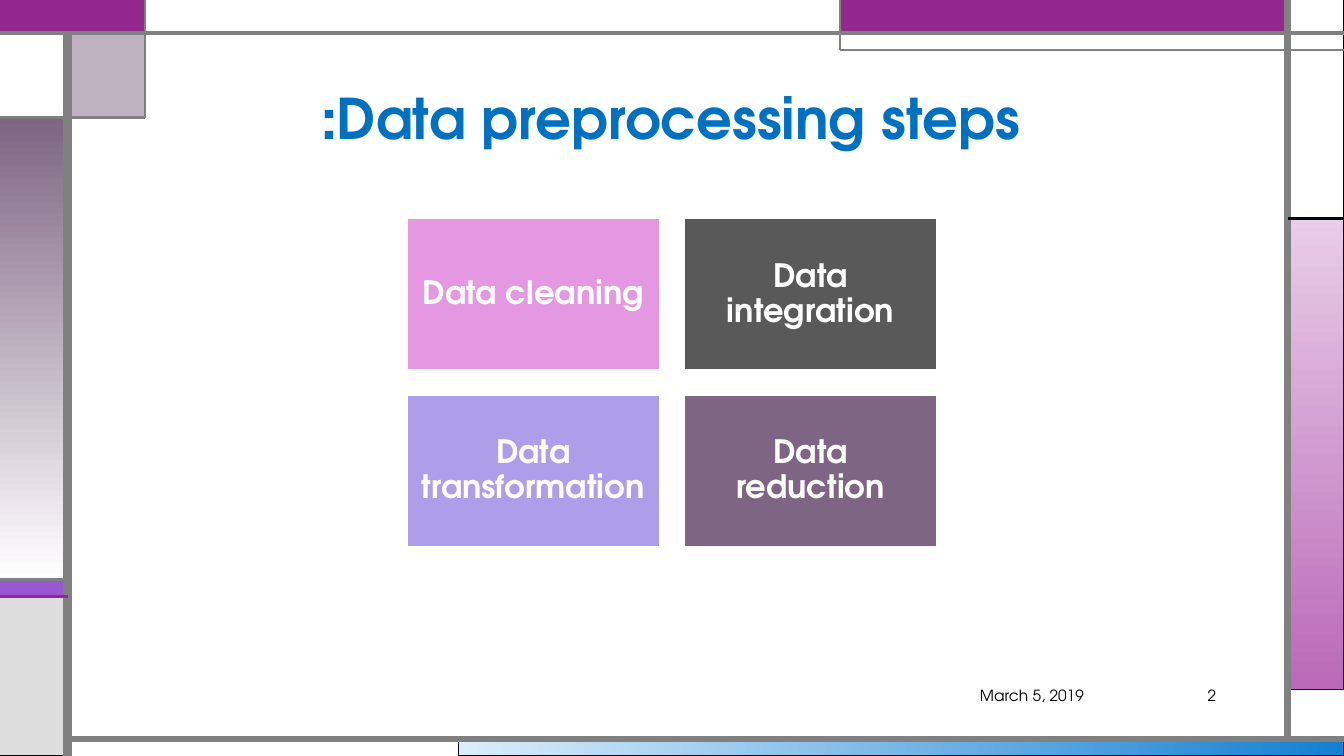
from dataclasses import dataclass
from typing import Optional

import lxml.etree
import pptx
import pptx.dml.color
import pptx.enum.shapes
import pptx.enum.text
import pptx.oxml.ns
import pptx.util

Inches = pptx.util.Inches
Align = pptx.enum.text.PP_ALIGN


@dataclass(frozen=True)
class Theme:
    font: str = "TeX Gyre Adventor"
    title_size: float = 40
    tile_size: float = 23
    footer_size: float = 11
    white: str = "FFFFFF"
    black: str = "000000"
    grey: str = "808080"
    silver: str = "DDDDDD"
    charcoal: str = "595959"
    magenta: str = "92278F"
    violet: str = "9B57D3"
    indigo: str = "755DD9"
    plum: str = "7E6583"
    pink: str = "E498E1"
    lavender: str = "AC9EE8"
    title_blue: str = "0070C0"
    pale_blue: str = "DAEDFB"
    deep_blue: str = "1480D1"
    pale_orchid: str = "E8CDE7"
    orchid: str = "BA69B8"


THEME = Theme()


@dataclass(frozen=True)
class Panel:
    left: float
    top: float
    width: float
    height: float
    fill: str
    fade_to: Optional[str] = None
    angle: float = 270
    opacity: Optional[int] = None
    line: str = THEME.black
    weight: float = 0.75


@dataclass(frozen=True)
class Rule:
    x1: float
    y1: float
    x2: float
    y2: float
    weight: float
    color: str = THEME.grey


@dataclass(frozen=True)
class Step:
    label: str
    fill: str


WIDTH, HEIGHT = 13.33, 7.5
LEFT_BAR, RIGHT_BAR, TOP_BAR, BOTTOM_BAR = 0.67, 12.77, 0.33, 7.33
CORNER_X, CORNER_Y = 1.44, 1.17
TAB_X, TAB_Y = 8.33, 0.5
RIGHT_SPLIT = 2.17
BAND_TOP, BAND_BOTTOM = 5.75, 5.92
EDGE = WIDTH - RIGHT_BAR

PANELS = [
    Panel(4.55, BOTTOM_BAR, 8.78, 0.17, THEME.pale_blue, fade_to=THEME.deep_blue, angle=0),
    Panel(RIGHT_BAR, RIGHT_SPLIT, EDGE, 4.67, THEME.pale_orchid, fade_to=THEME.orchid),
    Panel(0, BAND_TOP, LEFT_BAR, BAND_BOTTOM - BAND_TOP, THEME.violet),
    Panel(0, BAND_BOTTOM, LEFT_BAR, HEIGHT - BAND_BOTTOM, THEME.silver),
    Panel(RIGHT_BAR, 0, EDGE, RIGHT_SPLIT, THEME.white),
    Panel(TAB_X, 0, RIGHT_BAR - TAB_X, TOP_BAR, THEME.magenta, line=THEME.indigo),
    Panel(LEFT_BAR, TOP_BAR, CORNER_X - LEFT_BAR, CORNER_Y - TOP_BAR, THEME.plum, opacity=50),
    Panel(0, CORNER_Y, LEFT_BAR, BAND_TOP - CORNER_Y, THEME.plum, fade_to=THEME.white),
    Panel(0, TOP_BAR, LEFT_BAR, CORNER_Y - TOP_BAR, THEME.white),
    Panel(0, 0, CORNER_X, TOP_BAR, THEME.magenta, line=THEME.magenta, weight=1.5),
    Panel(CORNER_X, 0, TAB_X - CORNER_X, TOP_BAR, THEME.white, line=THEME.grey),
]

RULES = [
    Rule(LEFT_BAR, HEIGHT, LEFT_BAR, TOP_BAR, 6),
    Rule(LEFT_BAR, BOTTOM_BAR, WIDTH, BOTTOM_BAR, 4.5),
    Rule(RIGHT_BAR, BOTTOM_BAR, RIGHT_BAR, 0, 4.5),
    Rule(0, TOP_BAR, WIDTH, TOP_BAR, 3),
    Rule(WIDTH, TAB_Y, TAB_X, TAB_Y, 1.5),
    Rule(TAB_X, TAB_Y, TAB_X, 0, 1.5),
    Rule(RIGHT_BAR, RIGHT_SPLIT, WIDTH, RIGHT_SPLIT, 2.25, THEME.black),
    Rule(CORNER_X, 0, CORNER_X, CORNER_Y, 1.5),
    Rule(CORNER_X, CORNER_Y, 0, CORNER_Y, 2.25),
    Rule(LEFT_BAR, BAND_TOP, 0, BAND_TOP, 2.25),
    Rule(LEFT_BAR, BAND_BOTTOM, 0, BAND_BOTTOM, 2.25, THEME.magenta),
]

STEPS = [
    Step("Data cleaning", THEME.pink),
    Step("Data integration", THEME.charcoal),
    Step("Data transformation", THEME.lavender),
    Step("Data reduction", THEME.plum),
]


def rgb(color: str) -> pptx.dml.color.RGBColor:
    """Turn a hex string into a colour."""
    return pptx.dml.color.RGBColor.from_string(color)


def draw_panel(slide, panel: Panel):
    """Draw a rectangle with a solid, translucent or graded fill."""
    block = slide.shapes.add_shape(
        pptx.enum.shapes.MSO_SHAPE.RECTANGLE,
        Inches(panel.left), Inches(panel.top), Inches(panel.width), Inches(panel.height))
    block.shadow.inherit = False
    block.line.color.rgb = rgb(panel.line)
    block.line.width = pptx.util.Pt(panel.weight)
    if panel.fade_to:
        block.fill.gradient()
        block.fill.gradient_angle = panel.angle
        for stop, color in zip(block.fill.gradient_stops, (panel.fill, panel.fade_to)):
            stop.color.rgb = rgb(color)
    else:
        block.fill.solid()
        block.fill.fore_color.rgb = rgb(panel.fill)
    if panel.opacity is not None:
        solid = block._element.spPr.find(pptx.oxml.ns.qn("a:solidFill"))
        tint = solid.find(pptx.oxml.ns.qn("a:srgbClr"))
        alpha = lxml.etree.SubElement(tint, pptx.oxml.ns.qn("a:alpha"))
        alpha.set("val", str(panel.opacity * 1000))
    return block


def draw_rule(slide, rule: Rule) -> None:
    """Draw a straight line without a shadow."""
    stroke = slide.shapes.add_connector(
        pptx.enum.shapes.MSO_CONNECTOR.STRAIGHT,
        Inches(rule.x1), Inches(rule.y1), Inches(rule.x2), Inches(rule.y2))
    stroke.line.color.rgb = rgb(rule.color)
    stroke.line.width = pptx.util.Pt(rule.weight)
    lxml.etree.SubElement(stroke._element.spPr, pptx.oxml.ns.qn("a:effectLst"))


def write(holder, text: str, *, size: float, color: str, align=Align.CENTER,
          bold: bool = False, spacing: float = 1.0, rtl: bool = False,
          inset: Optional[float] = None) -> None:
    """Write one formatted paragraph, centred vertically in its holder."""
    frame = holder.text_frame
    frame.word_wrap = True
    frame.vertical_anchor = pptx.enum.text.MSO_ANCHOR.MIDDLE
    if inset is not None:
        frame.margin_left = frame.margin_right = Inches(inset)
        frame.margin_top = frame.margin_bottom = Inches(inset)
    paragraph = frame.paragraphs[0]
    paragraph.alignment = align
    paragraph.line_spacing = spacing
    if rtl:
        paragraph._p.get_or_add_pPr().set("rtl", "1")
    run = paragraph.add_run()
    run.text = text
    run.font.name = THEME.font
    run.font.size = pptx.util.Pt(size)
    run.font.bold = bold
    run.font.color.rgb = rgb(color)


def add_box(slide, left: float, top: float, width: float, height: float):
    """Add an empty text box."""
    return slide.shapes.add_textbox(Inches(left), Inches(top), Inches(width), Inches(height))


def main() -> None:
    """Build the slide and save it."""
    deck = pptx.Presentation()
    deck.slide_width, deck.slide_height = Inches(WIDTH), Inches(HEIGHT)
    slide = deck.slides.add_slide(deck.slide_layouts[6])
    for panel in PANELS:
        draw_panel(slide, panel)
    for rule in RULES:
        draw_rule(slide, rule)
    for index, step in enumerate(STEPS):
        row, column = divmod(index, 2)
        tile = draw_panel(slide, Panel(4.04 + 2.75 * column, 2.17 + 1.75 * row, 2.5, 1.5,
                                       step.fill, line=THEME.white, weight=1))
        write(tile, step.label, size=THEME.tile_size, color=THEME.white,
              bold=True, spacing=0.9, inset=0.1)
    write(add_box(slide, 2.16, 0.54, 9, 1.25), "Data preprocessing steps:",
          size=THEME.title_size, color=THEME.title_blue, bold=True, rtl=True)
    for left, width, text in ((9.41, 1.44, "March 5, 2019"), (11.08, 1.08, "2")):
        write(add_box(slide, left, 6.75, width, 0.3), text,
              size=THEME.footer_size, color=THEME.black, align=Align.RIGHT)
    deck.save("out.pptx")


if __name__ == "__main__":
    main()
